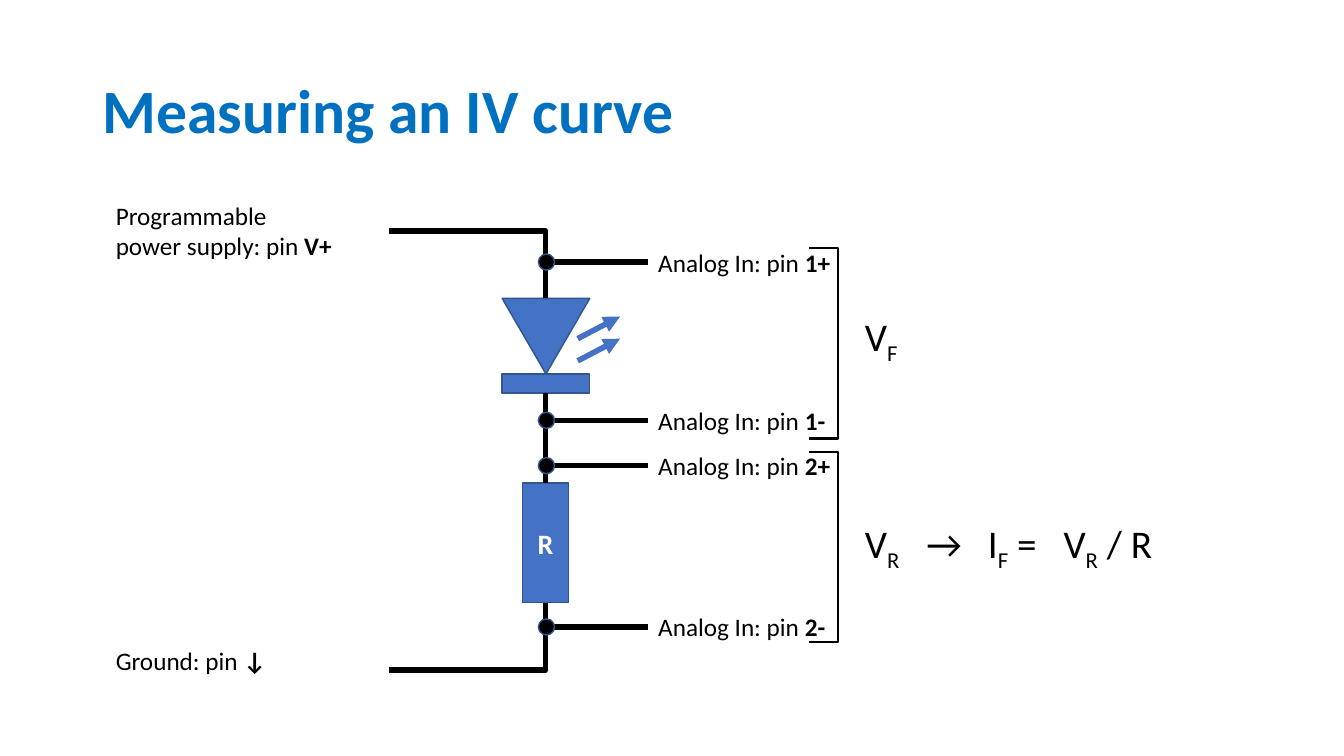
from lxml import etree
from pptx import Presentation
from pptx.dml.color import RGBColor
from pptx.enum.shapes import MSO_CONNECTOR as CONNECTOR, MSO_SHAPE as SHAPE
from pptx.enum.text import MSO_ANCHOR as ANCHOR, PP_ALIGN as ALIGN
from pptx.oxml.ns import qn
from pptx.util import Pt

PX = 9144  # EMU per px, 100 px to the inch
FONT = "Calibri"
COLORS = {
    "title": "0070C0",
    "ink": "000000",
    "part": "4472C4",
    "outline": "325491",
    "white": "FFFFFF",
}
AXIS = 541  # x of the vertical wire
WIRE_LEFT = 386
TAP_END = 643
DOT = 16


def color(name):
    return RGBColor.from_string(COLORS[name])


def box(*lengths):
    return [length * PX for length in lengths]


def style_paragraph(paragraph, size, ink="ink", bold=None):
    font = paragraph.font
    font.name, font.size, font.bold = FONT, Pt(size), bold
    font.color.rgb = color(ink)


def add_text(slide, bounds, runs, size, ink="ink", bold=None, tabs=()):
    """Add a text box; runs are (text, style), style being "", "bold", "sub" or "break"."""
    shape = slide.shapes.add_textbox(*box(*bounds))
    frame = shape.text_frame
    frame.word_wrap = True
    paragraph = frame.paragraphs[0]
    style_paragraph(paragraph, size, ink, bold)
    if tabs:
        tab_list = etree.Element(qn("a:tabLst"))
        for position in tabs:
            etree.SubElement(tab_list, qn("a:tab"), pos=str(position * PX), algn="l")
        paragraph._p.get_or_add_pPr().insert(0, tab_list)
    for text, style in runs:
        run = paragraph.add_run()
        run.text = text
        if style == "bold":
            run.font.bold = True
        elif style == "sub":
            run._r.get_or_add_rPr().set("baseline", "-25000")
        elif style == "break":
            paragraph.add_line_break()
    return shape


def add_part(slide, kind, bounds, fill="part"):
    shape = slide.shapes.add_shape(kind, *box(*bounds))
    shape.shadow.inherit = False
    shape.fill.solid()
    shape.fill.fore_color.rgb = color(fill)
    shape.line.color.rgb = color("outline")
    shape.line.width = Pt(1)
    return shape


def add_wire(slide, start, end, ink="ink", kind=CONNECTOR.STRAIGHT):
    wire = slide.shapes.add_connector(kind, *box(*start, *end))
    wire.line.color.rgb = color(ink)
    wire.line.width = Pt(4)
    etree.SubElement(wire.element.spPr, qn("a:effectLst"))
    return wire


def add_corner_wire(slide, start, end):
    """Add a wire that runs across, then turns once."""
    wire = add_wire(slide, start, end, kind=CONNECTOR.ELBOW)
    wire.element.spPr.find(qn("a:prstGeom")).set("prst", "bentConnector2")


def add_light_arrow(slide, start, end):
    arrow = add_wire(slide, start, end, ink="part")
    line = arrow.element.spPr.find(qn("a:ln"))
    etree.SubElement(line, qn("a:tailEnd"), type="triangle")


def add_tap(slide, y, pin):
    """Add a measuring point on the vertical wire, with its lead and pin label."""
    add_wire(slide, (AXIS + DOT // 2, y), (TAP_END, y))
    add_part(slide, SHAPE.OVAL, (AXIS + 1 - DOT // 2, y - DOT // 2, DOT, DOT), "ink")
    add_text(slide, (TAP_END, y - 20, 209, 40),
             [("Analog In: pin ", ""), (pin, "bold")], 18)


def add_bracket(slide, top):
    left, right, bottom = 802, 831, top + 189
    builder = slide.shapes.build_freeform(left, top, scale=PX)
    builder.add_line_segments([(right, top), (right, bottom), (left, bottom)], close=False)
    bracket = builder.convert_to_shape()
    bracket.shadow.inherit = False
    bracket.fill.background()
    bracket.line.color.rgb = color("ink")
    bracket.line.width = Pt(1.5)


def add_led(slide):
    triangle = add_part(slide, SHAPE.ISOSCELES_TRIANGLE, (498, 296, 87, 75))
    triangle.rotation = 180
    add_part(slide, SHAPE.RECTANGLE, (498, 371, 87, 19))
    for y in (358, 336):
        add_light_arrow(slide, (573, y), (615, y - 22))


def add_resistor(slide):
    resistor = add_part(slide, SHAPE.RECTANGLE, (518, 479, 46, 119))
    frame = resistor.text_frame
    frame.vertical_anchor = ANCHOR.MIDDLE
    paragraph = frame.paragraphs[0]
    paragraph.alignment = ALIGN.CENTER
    paragraph.add_run().text = "R"
    style_paragraph(paragraph, 20, "white", True)


def main():
    presentation = Presentation()
    presentation.slide_width, presentation.slide_height = box(1333, 750)
    slide = presentation.slides.add_slide(presentation.slide_layouts[6])

    title = add_text(slide, (92, 40, 1150, 145), [("Measuring an IV curve", "")],
                     44, "title", True)
    title.text_frame.vertical_anchor = ANCHOR.MIDDLE
    title.text_frame.paragraphs[0].line_spacing = 0.9

    add_text(slide, (105, 194, 237, 71),
             [("Programmable", "break"), ("power supply: pin ", ""), ("V+", "bold")], 18)
    add_text(slide, (105, 635, 223, 40), [("Ground: pin ", ""), ("↓", "bold")], 18)

    add_led(slide)
    add_resistor(slide)
    add_corner_wire(slide, (WIRE_LEFT, 229), (AXIS, 296))
    add_corner_wire(slide, (WIRE_LEFT, 665), (AXIS, 598))
    add_wire(slide, (AXIS, 390), (AXIS, 479))

    for y, pin in ((260, "1+"), (417, "1-"), (462, "2+"), (622, "2-")):
        add_tap(slide, y, pin)
    for top in (246, 448):
        add_bracket(slide, top)

    add_text(slide, (848, 305, 55, 57), [("V", ""), ("F", "sub")], 28)
    add_text(slide, (848, 510, 317, 57),
             [("V", ""), ("R", "sub"), ("\t→\tI", ""), ("F", "sub"),
              (" =\tV", ""), ("R", "sub"), (" / R", "")],
             28, tabs=(61, 122, 197))

    presentation.save("out.pptx")


if __name__ == "__main__":
    main()
